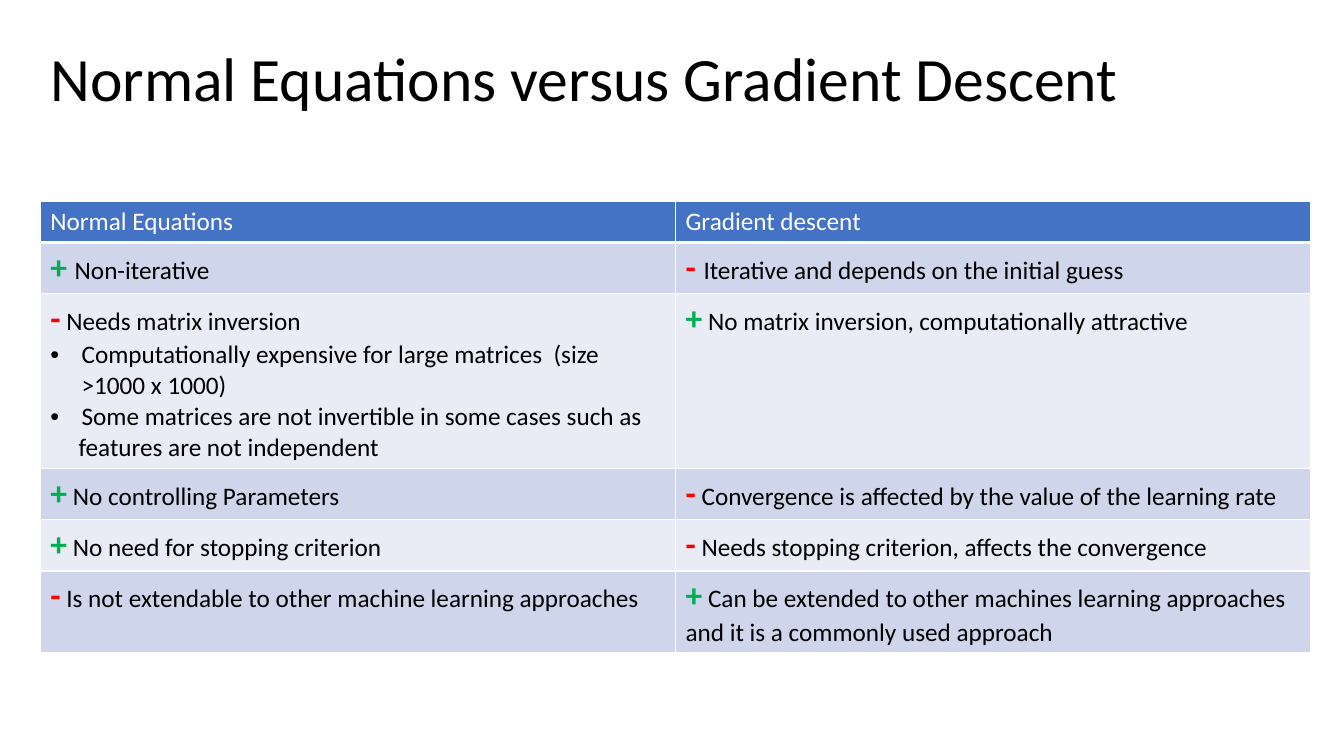
from lxml import etree
from pptx import Presentation
from pptx import util as u
from pptx.dml.color import RGBColor
from pptx.enum import text
from pptx.oxml import ns

BLACK = RGBColor(0x00, 0x00, 0x00)
WHITE = RGBColor(0xFF, 0xFF, 0xFF)
BLUE = RGBColor(0x44, 0x72, 0xC4)
BAND_DARK = RGBColor(0xCF, 0xD5, 0xEA)
BAND_LIGHT = RGBColor(0xE9, 0xEB, 0xF5)
SIGN_COLORS = {"+": RGBColor(0x00, 0xB0, 0x50), "-": RGBColor(0xFF, 0x00, 0x00)}

HEADERS = ("Normal Equations", "Gradient descent")
COMPARISON = [
    (("+ ", "Non-iterative"),
     ("- ", "Iterative and depends on the initial guess")),
    (("-", " Needs matrix inversion"),
     ("+", " No matrix inversion, computationally attractive")),
    (("+", " No controlling Parameters"),
     ("-", " Convergence is affected by the value of the learning rate")),
    (("+", " No need for stopping criterion"),
     ("-", " Needs stopping criterion, affects the convergence")),
    (("-", " Is not extendable to other machine learning approaches"),
     ("+", " Can be extended to other machines learning approaches and it is a commonly used approach")),
]
INVERSION_DETAILS = [
    ("Computationally expensive for large matrices  (size >1000 x 1000)", 0.31, True),
    ("Some matrices are not invertible in some cases such as", 0.31, True),
    ("features are not independent", 0.28, False),
]
ROW_HEIGHTS = (0.4, 0.51, 1.73, 0.51, 0.51, 0.81)


class ComparisonSlide:
    """Hold the text style and the slide, and add its elements."""

    font = "Calibri"
    size = 18
    sign_size = 24

    def __init__(self, prs):
        self.s = prs.slides.add_slide(prs.slide_layouts[5])

    def run(self, p, value, size, color, bold=False):
        r = p.add_run()
        r.text = value
        r.font.name = self.font
        r.font.size = u.Pt(size)
        r.font.bold = bold
        r.font.color.rgb = color

    def title(self, value, left, top, width, height):
        sp = self.s.shapes.title
        sp.left, sp.top = u.Inches(left), u.Inches(top)
        sp.width, sp.height = u.Inches(width), u.Inches(height)
        tf = sp.text_frame
        tf.auto_size = text.MSO_AUTO_SIZE.NONE
        tf.vertical_anchor = text.MSO_ANCHOR.MIDDLE
        p = tf.paragraphs[0]
        p.alignment = text.PP_ALIGN.LEFT
        p.line_spacing = 0.9
        self.run(p, value, 44, BLACK)

    def table(self, left, top, width, heights):
        shape = self.s.shapes.add_table(
            len(heights), len(HEADERS), u.Inches(left), u.Inches(top),
            u.Inches(width), u.Inches(sum(heights)))
        for row, height in zip(shape.table.rows, heights):
            row.height = u.Inches(height)
        return shape.table

    def cell(self, cell, fill, bottom=1):
        tc_pr = cell._tc.get_or_add_tcPr()
        for side, width in (("L", 1), ("R", 1), ("T", 1), ("B", bottom)):
            ln = etree.SubElement(tc_pr, ns.qn(f"a:ln{side}"), w=str(u.Pt(width)))
            solid = etree.SubElement(ln, ns.qn("a:solidFill"))
            etree.SubElement(solid, ns.qn("a:srgbClr"), val=str(WHITE))
        cell.fill.solid()
        cell.fill.fore_color.rgb = fill
        return cell.text_frame

    def verdict(self, tf, sign, value):
        p = tf.paragraphs[0]
        self.run(p, sign, self.sign_size, SIGN_COLORS[sign[0]], True)
        self.run(p, value, self.size, BLACK)

    def detail(self, tf, value, indent, bulleted):
        p = tf.add_paragraph()
        p_pr = p._p.get_or_add_pPr()
        p_pr.set("marL", str(u.Inches(indent)))
        p_pr.set("indent", str(-u.Inches(indent) if bulleted else 0))
        if bulleted:
            etree.SubElement(p_pr, ns.qn("a:buFont"), typeface="Arial")
            etree.SubElement(p_pr, ns.qn("a:buChar"), char="•")
        self.run(p, value, self.size, BLACK)


def main():
    prs = Presentation()
    prs.slide_width, prs.slide_height = u.Inches(13.33), u.Inches(7.5)
    slide = ComparisonSlide(prs)
    slide.title("Normal Equations versus Gradient Descent", 0.4, 0.4, 11.5, 0.82)
    table = slide.table(0.4, 2, 12.6, ROW_HEIGHTS)
    for col, header in enumerate(HEADERS):
        tf = slide.cell(table.cell(0, col), BLUE, bottom=3)
        slide.run(tf.paragraphs[0], header, slide.size, WHITE)
    for row, verdicts in enumerate(COMPARISON, 1):
        for col, (sign, value) in enumerate(verdicts):
            tf = slide.cell(table.cell(row, col), BAND_DARK if row % 2 else BAND_LIGHT)
            slide.verdict(tf, sign, value)
    for value, indent, bulleted in INVERSION_DETAILS:
        slide.detail(table.cell(2, 0).text_frame, value, indent, bulleted)
    prs.save("out.pptx")


if __name__ == "__main__":
    main()
